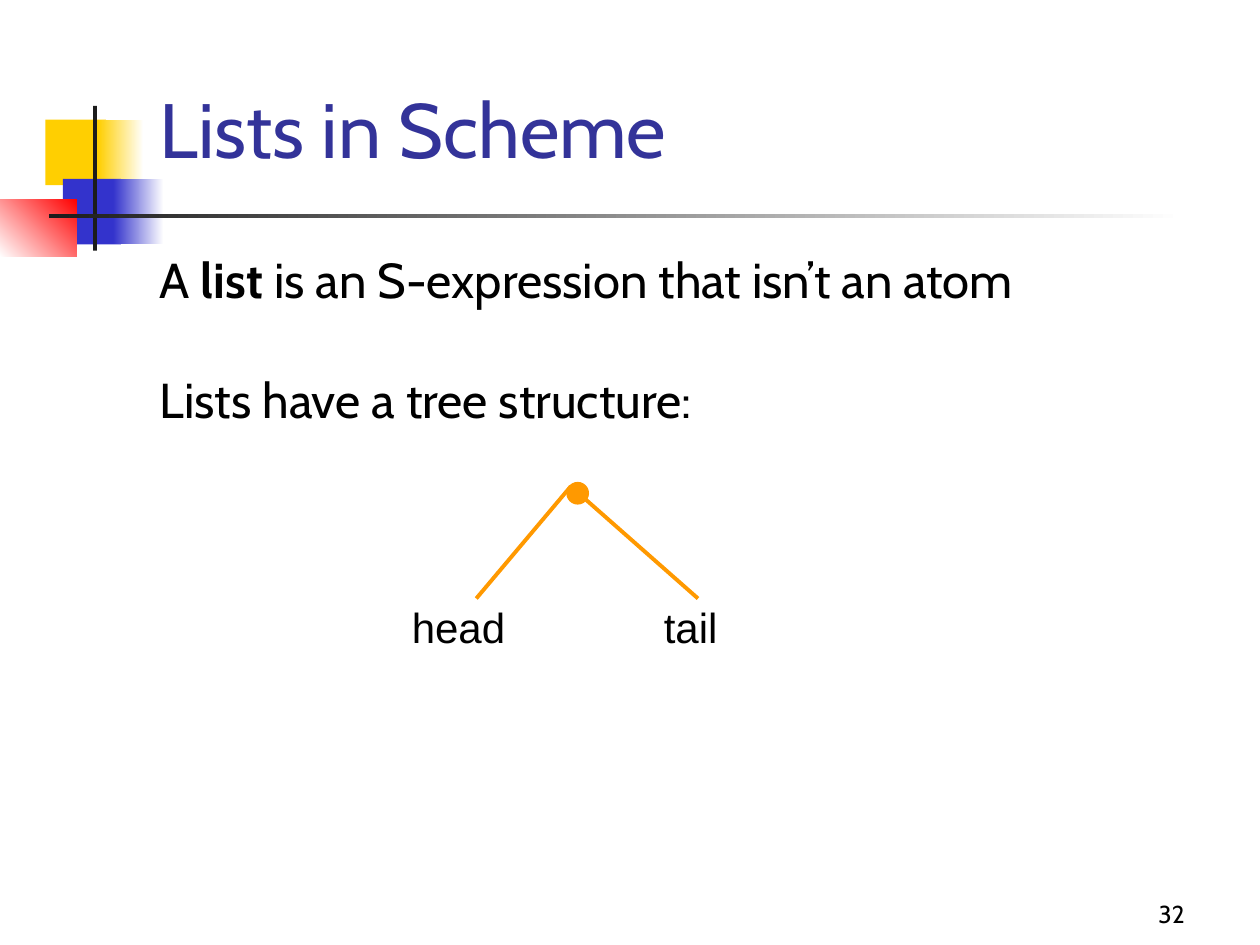
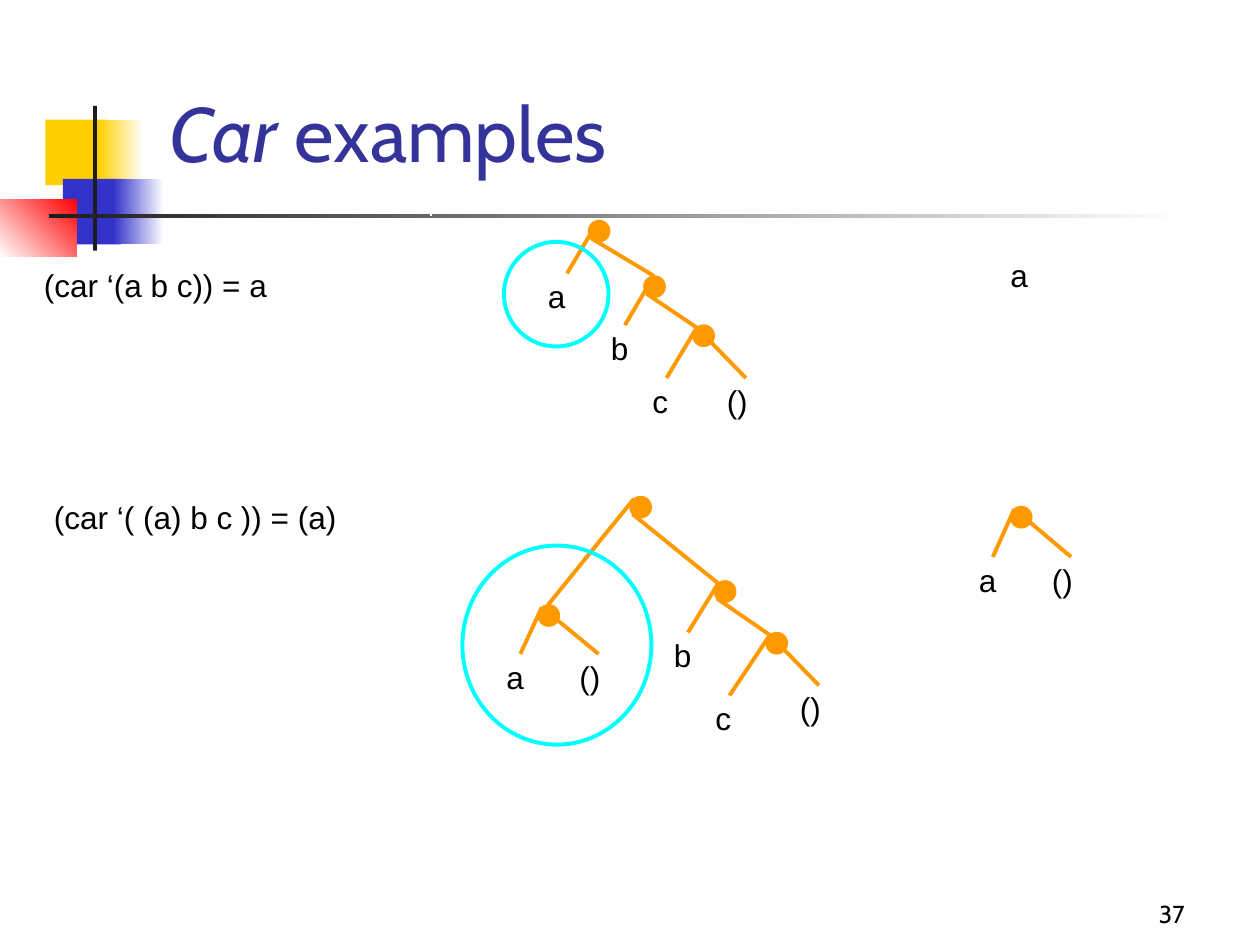
"""Builds two slides about lists and their trees in Scheme."""
from dataclasses import dataclass
from typing import NamedTuple, Optional, Union

from pptx import Presentation
from pptx.dml.color import RGBColor
from pptx.enum.dml import MSO_LINE
from pptx.enum.shapes import MSO_CONNECTOR, MSO_SHAPE
from pptx.enum.text import MSO_ANCHOR, PP_ALIGN
from pptx.oxml.xmlchemy import OxmlElement
from pptx.presentation import Presentation as Deck
from pptx.shapes.autoshape import Shape
from pptx.slide import Slide
from pptx.util import Pt

PX = 9144
PAGE_WIDTH, PAGE_HEIGHT = 1000, 750
DOT_SIZE = 17

BLACK = RGBColor(0x00, 0x00, 0x00)
WHITE = RGBColor(0xFF, 0xFF, 0xFF)
YELLOW = RGBColor(0xFF, 0xCF, 0x01)
BLUE = RGBColor(0x33, 0x33, 0xCC)
RED = RGBColor(0xFF, 0x00, 0x00)
CHARCOAL = RGBColor(0x1C, 0x1C, 0x1C)
TITLE_BLUE = RGBColor(0x33, 0x33, 0x99)
ORANGE = RGBColor(0xFF, 0x99, 0x00)
CYAN = RGBColor(0x00, 0xFF, 0xFF)

HEADING_FONT, LABEL_FONT = "Cabin", "Arial"
RECTANGLE, OVAL = MSO_SHAPE.RECTANGLE, MSO_SHAPE.OVAL
STRAIGHT, DASH = MSO_CONNECTOR.STRAIGHT, MSO_LINE.DASH
TOP, MIDDLE, BOTTOM = MSO_ANCHOR.TOP, MSO_ANCHOR.MIDDLE, MSO_ANCHOR.BOTTOM
LEFT, RIGHT = PP_ALIGN.LEFT, PP_ALIGN.RIGHT


class Point(NamedTuple):
    """A place on the page in px."""
    x: int
    y: int


class Area(NamedTuple):
    """A rectangle on the page in px."""
    left: int
    top: int
    width: int
    height: int


class Band(NamedTuple):
    """A decorative rectangle, faded when it has an end colour."""
    area: Area
    start: RGBColor
    end: Optional[RGBColor] = None
    angle: int = 180


class Span(NamedTuple):
    """A stretch of text in one style."""
    text: str
    bold: Optional[bool] = None
    italic: Optional[bool] = None


class Line(NamedTuple):
    """One paragraph with its spacing."""
    spans: list[Span]
    spacing: float = 0.96
    before: float = 0


@dataclass(frozen=True)
class Style:
    """Font and placing of the text in a box."""
    font: str
    size: int
    color: RGBColor = BLACK
    anchor: MSO_ANCHOR = TOP
    align: PP_ALIGN = LEFT


@dataclass(frozen=True)
class Leaf:
    """A labelled end of a branch."""
    text: str
    tip: Point
    width: int = 42


@dataclass(frozen=True)
class Fork:
    """A dot with two branches that leave near its hub."""
    dot: Point
    left: Union["Fork", Leaf]
    right: Union["Fork", Leaf]
    hub_shift: Point = Point(3, 2)

    @property
    def hub(self) -> Point:
        """Return the point where the branches meet."""
        return Point(self.dot.x + self.hub_shift.x, self.dot.y + self.hub_shift.y)


TITLE = Style(HEADING_FONT, 44, TITLE_BLUE, MIDDLE)
BODY = Style(HEADING_FONT, 28)
NUMBER = Style(HEADING_FONT, 14, BLACK, BOTTOM, RIGHT)
LARGE_LABEL = Style(LABEL_FONT, 24)
LABEL = Style(LABEL_FONT, 18)

BANDS = [
    Band(Area(36, 95, 48, 52), YELLOW),
    Band(Area(78, 95, 36, 52), WHITE, YELLOW),
    Band(Area(50, 142, 46, 52), BLUE),
    Band(Area(90, 142, 40, 52), WHITE, BLUE),
    Band(Area(0, 158, 61, 46), RED, WHITE, 225),
    Band(Area(74, 84, 3, 115), CHARCOAL),
    Band(Area(39, 170, 900, 3), WHITE, CHARCOAL),
]

HEAD_TAIL_TREE = Fork(
    Point(450, 383),
    Leaf("head", Point(378, 475), 123),
    Leaf("tail", Point(554, 475), 75),
    Point(3, 3),
)
ATOM_CAR_TREE = Fork(
    Point(467, 175),
    Leaf("a", Point(450, 217), 50),
    Fork(
        Point(511, 219),
        Leaf("b", Point(496, 258)),
        Fork(
            Point(550, 258),
            Leaf("c", Point(529, 300)),
            Leaf("()", Point(592, 300), 50),
        ),
        Point(8, 0),
    ),
    Point(8, 0),
)
LIST_CAR_TREE = Fork(
    Point(500, 394),
    Fork(
        Point(427, 480),
        Leaf("a", Point(413, 519)),
        Leaf("()", Point(475, 519), 50),
    ),
    Fork(
        Point(567, 461),
        Leaf("b", Point(546, 502)),
        Fork(
            Point(608, 502),
            Leaf("c", Point(579, 552)),
            Leaf("()", Point(650, 544), 50),
        ),
    ),
)
RESULT_TREE = Fork(
    Point(802, 402),
    Leaf("a", Point(788, 442)),
    Leaf("()", Point(850, 442), 50),
)


def emu(area: Area) -> list[int]:
    """Turn an area in px into EMU."""
    return [length * PX for length in area]


def add_figure(page: Slide, kind: MSO_SHAPE, area: Area) -> Shape:
    """Add a preset shape without a shadow."""
    figure = page.shapes.add_shape(kind, *emu(area))
    figure.shadow.inherit = False
    return figure


def add_band(page: Slide, band: Band) -> None:
    """Add a plain or faded rectangle."""
    figure = add_figure(page, RECTANGLE, band.area)
    figure.line.fill.background()
    if band.end is None:
        figure.fill.solid()
        figure.fill.fore_color.rgb = band.start
        return
    figure.fill.gradient()
    figure.fill.gradient_angle = band.angle
    for stop, color in zip(figure.fill.gradient_stops, (band.start, band.end)):
        stop.color.rgb = color


def add_text(page: Slide, area: Area, style: Style, lines: list[Line]) -> None:
    """Add a text box with styled paragraphs."""
    frame = page.shapes.add_textbox(*emu(area)).text_frame
    frame.word_wrap = True
    frame.vertical_anchor = style.anchor
    for index, line in enumerate(lines):
        para = frame.add_paragraph() if index else frame.paragraphs[0]
        para.alignment = style.align
        para.line_spacing = line.spacing
        if line.before:
            para.space_before = Pt(line.before)
        para.font.name = style.font
        para.font.size = Pt(style.size)
        para.font.color.rgb = style.color
        for span in line.spans:
            run = para.add_run()
            run.text = span.text
            if span.bold:
                run.font.bold = True
            if span.italic:
                run.font.italic = True


def add_label(page: Slide, area: Area, text: str, style: Style = LABEL) -> None:
    """Add a single line of text."""
    add_text(page, area, style, [Line([Span(text)])])


def add_line(page: Slide, start: Point, end: Point, color: RGBColor = ORANGE,
             width: float = 2.25, dash: Optional[MSO_LINE] = None) -> None:
    """Add a straight line without a shadow."""
    ends = [length * PX for length in (*start, *end)]
    connector = page.shapes.add_connector(STRAIGHT, *ends)
    connector.line.color.rgb = color
    connector.line.width = Pt(width)
    if dash is not None:
        connector.line.dash_style = dash
    connector._element.spPr.append(OxmlElement("a:effectLst"))


def add_ring(page: Slide, area: Area) -> None:
    """Add a hollow highlight ring."""
    ring = add_figure(page, OVAL, area)
    ring.fill.background()
    ring.line.color.rgb = CYAN
    ring.line.width = Pt(2.25)


def draw_tree(page: Slide, node: Union[Fork, Leaf], style: Style = LABEL) -> None:
    """Draw a leaf label, or a fork and everything below it."""
    if isinstance(node, Leaf):
        height = 49 if style is LARGE_LABEL else 39
        left = node.tip.x - node.width // 2
        add_label(page, Area(left, node.tip.y, node.width, height), node.text, style)
        return
    dot = add_figure(page, OVAL, Area(*node.dot, DOT_SIZE, DOT_SIZE))
    dot.fill.solid()
    dot.fill.fore_color.rgb = ORANGE
    dot.line.color.rgb = ORANGE
    dot.line.width = Pt(0.75)
    if isinstance(node.left, Leaf):
        left_end = node.left.tip
    else:
        left_end = Point(node.left.dot.x + DOT_SIZE // 2, node.left.dot.y)
    if isinstance(node.right, Leaf):
        right_start, right_end = node.hub, node.right.tip
    else:
        right_start = Point(node.dot.x + 2, node.dot.y + 14)
        right_end = node.right.hub
    add_line(page, left_end, node.hub)
    add_line(page, right_end, right_start)
    for child in (node.left, node.right):
        draw_tree(page, child, style)


def add_page(deck: Deck, title: list[Span], title_area: Area, number: int) -> Slide:
    """Add a page with the shared bands, title and number."""
    page = deck.slides.add_slide(deck.slide_layouts[6])
    for band in BANDS:
        add_band(page, band)
    add_text(page, title_area, TITLE, [Line(title)])
    add_text(page, Area(742, 675, 208, 67), NUMBER, [Line([Span(str(number))], 1.0)])
    return page


def add_lists_page(deck: Deck) -> None:
    """Add the page that explains lists."""
    page = add_page(deck, [Span("Lists in Scheme")], Area(117, 42, 853, 126), 32)
    definition = [Span("A "), Span("list", bold=True),
                  Span(" is an S-expression that isn’t an atom")]
    structure = [Span("Lists have a tree structure:")]
    add_text(page, Area(117, 200, 850, 155), BODY,
             [Line(definition, 0.86), Line(structure, 0.8, 41.2)])
    draw_tree(page, HEAD_TAIL_TREE, LARGE_LABEL)


def add_car_page(deck: Deck) -> None:
    """Add the page with two examples of car."""
    title = [Span("Car", italic=True), Span(" examples")]
    page = add_page(deck, title, Area(125, 58, 853, 100), 37)
    add_line(page, Point(342, 167), Point(342, 600), WHITE, 0.75, DASH)
    add_label(page, Area(25, 208, 392, 39), "(car ‘(a b c)) = a")
    add_label(page, Area(33, 392, 392, 39), "(car ‘( (a) b c )) = (a)")
    add_label(page, Area(792, 200, 50, 39), "a")
    for tree in (ATOM_CAR_TREE, LIST_CAR_TREE, RESULT_TREE):
        draw_tree(page, tree)
    add_ring(page, Area(400, 192, 83, 83))
    add_ring(page, Area(367, 433, 150, 158))


def main() -> None:
    """Build and save the deck."""
    deck = Presentation()
    deck.slide_width, deck.slide_height = PAGE_WIDTH * PX, PAGE_HEIGHT * PX
    add_lists_page(deck)
    add_car_page(deck)
    deck.save("out.pptx")


if __name__ == "__main__":
    main()
